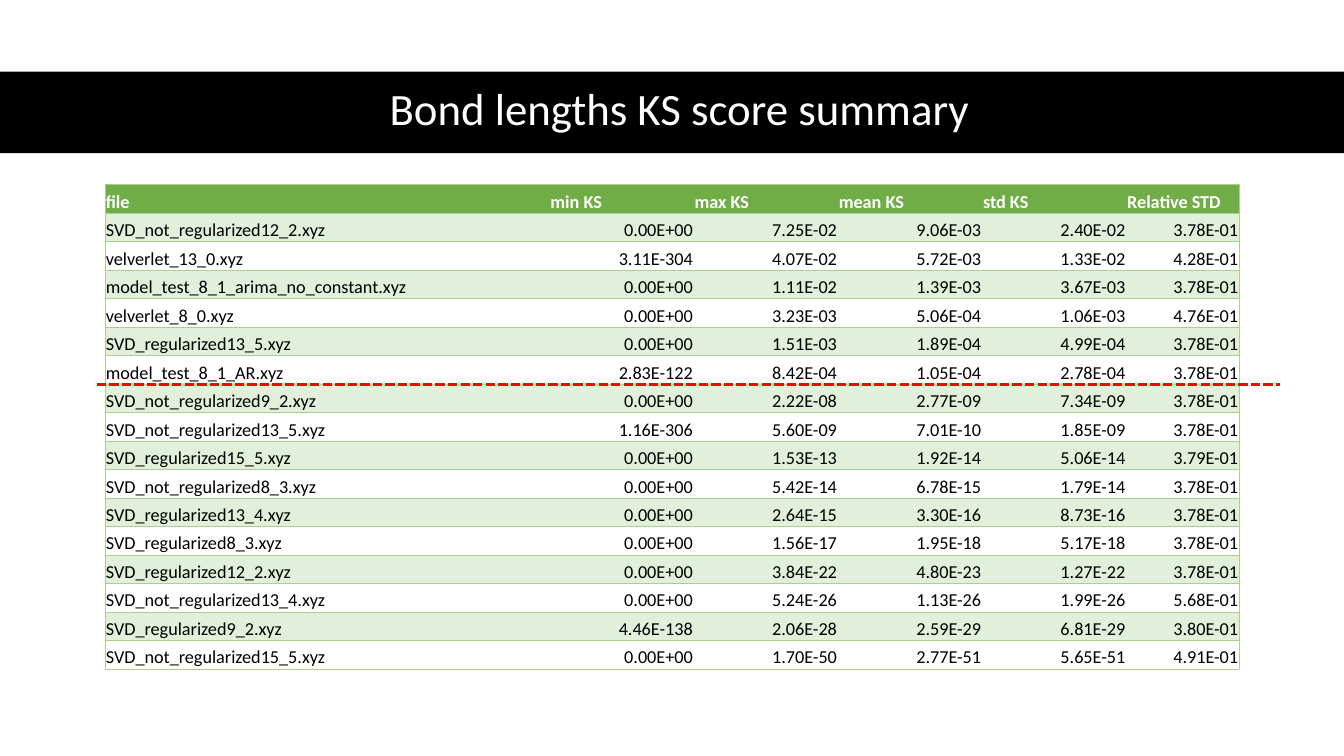
import lxml.etree
import pptx
import pptx.dml.color
import pptx.enum.dml
import pptx.enum.shapes
import pptx.enum.text
import pptx.oxml.ns
import pptx.util

COLORS = {
    "banner": "000000",
    "title": "FFFFFF",
    "header": "70AD47",
    "band": "E2EFDA",
    "border": "A9D08E",
    "text": "000000",
    "cutoff": "FF0000",
}
FONT = "Calibri"
NO_GRID_STYLE = "{2D5ABB26-0587-4C30-8999-92F81FD0307C}"
SLIDE_WIDTH, SLIDE_HEIGHT = 13.33, 7.5
TABLE_LEFT, TABLE_TOP, TABLE_HEIGHT = 1.04, 1.83, 4.81
COLUMN_WIDTHS = [4.41, 1.43, 1.43, 1.43, 1.43, 1.12]
ROWS_ABOVE_CUTOFF = 7

SCORES = [
    ["file", "min KS", "max KS", "mean KS", "std KS", "Relative STD"],
    ["SVD_not_regularized12_2.xyz", "0.00E+00", "7.25E-02", "9.06E-03", "2.40E-02", "3.78E-01"],
    ["velverlet_13_0.xyz", "3.11E-304", "4.07E-02", "5.72E-03", "1.33E-02", "4.28E-01"],
    ["model_test_8_1_arima_no_constant.xyz", "0.00E+00", "1.11E-02", "1.39E-03", "3.67E-03", "3.78E-01"],
    ["velverlet_8_0.xyz", "0.00E+00", "3.23E-03", "5.06E-04", "1.06E-03", "4.76E-01"],
    ["SVD_regularized13_5.xyz", "0.00E+00", "1.51E-03", "1.89E-04", "4.99E-04", "3.78E-01"],
    ["model_test_8_1_AR.xyz", "2.83E-122", "8.42E-04", "1.05E-04", "2.78E-04", "3.78E-01"],
    ["SVD_not_regularized9_2.xyz", "0.00E+00", "2.22E-08", "2.77E-09", "7.34E-09", "3.78E-01"],
    ["SVD_not_regularized13_5.xyz", "1.16E-306", "5.60E-09", "7.01E-10", "1.85E-09", "3.78E-01"],
    ["SVD_regularized15_5.xyz", "0.00E+00", "1.53E-13", "1.92E-14", "5.06E-14", "3.79E-01"],
    ["SVD_not_regularized8_3.xyz", "0.00E+00", "5.42E-14", "6.78E-15", "1.79E-14", "3.78E-01"],
    ["SVD_regularized13_4.xyz", "0.00E+00", "2.64E-15", "3.30E-16", "8.73E-16", "3.78E-01"],
    ["SVD_regularized8_3.xyz", "0.00E+00", "1.56E-17", "1.95E-18", "5.17E-18", "3.78E-01"],
    ["SVD_regularized12_2.xyz", "0.00E+00", "3.84E-22", "4.80E-23", "1.27E-22", "3.78E-01"],
    ["SVD_not_regularized13_4.xyz", "0.00E+00", "5.24E-26", "1.13E-26", "1.99E-26", "5.68E-01"],
    ["SVD_regularized9_2.xyz", "4.46E-138", "2.06E-28", "2.59E-29", "6.81E-29", "3.80E-01"],
    ["SVD_not_regularized15_5.xyz", "0.00E+00", "1.70E-50", "2.77E-51", "5.65E-51", "4.91E-01"],
]
ROW_HEIGHT = TABLE_HEIGHT / len(SCORES)


def inches(*lengths):
    return [pptx.util.Inches(length) for length in lengths]


def rgb(name):
    return pptx.dml.color.RGBColor.from_string(COLORS[name])


def add_span(para, text, size, color, bold=False):
    span = para.add_run()
    span.text = text
    span.font.name = FONT
    span.font.size = pptx.util.Pt(size)
    span.font.bold = bold
    span.font.color.rgb = rgb(color)


def add_banner(page):
    banner = page.shapes.add_shape(
        pptx.enum.shapes.MSO_SHAPE.RECTANGLE, *inches(0, 0.71, SLIDE_WIDTH, 0.81))
    banner.shadow.inherit = False
    banner.fill.solid()
    banner.fill.fore_color.rgb = rgb("banner")
    banner.line.fill.background()


def add_title(page, text):
    box = page.shapes.add_textbox(*inches(0.61, 0.7, 12.26, 0.81))
    frame = box.text_frame
    frame.word_wrap = True
    frame.vertical_anchor = pptx.enum.text.MSO_ANCHOR.MIDDLE
    para = frame.paragraphs[0]
    para.alignment = pptx.enum.text.PP_ALIGN.CENTER
    para.line_spacing = 0.9
    add_span(para, text, 32, "title")


def add_border(cell, side):
    properties = cell._tc.get_or_add_tcPr()
    qn = pptx.oxml.ns.qn
    line = lxml.etree.SubElement(properties, qn("a:ln" + side), w=str(pptx.util.Pt(0.5)))
    fill = lxml.etree.SubElement(line, qn("a:solidFill"))
    lxml.etree.SubElement(fill, qn("a:srgbClr"), val=COLORS["border"])


def fill_cell(cell, text, row, column):
    is_header = row == 0
    cell.margin_left, cell.margin_right, cell.margin_top, cell.margin_bottom = inches(0.01, 0.01, 0.01, 0)
    cell.vertical_anchor = pptx.enum.text.MSO_ANCHOR.BOTTOM
    outer_side = {0: "L", len(COLUMN_WIDTHS) - 1: "R"}.get(column, "")
    for side in outer_side + "TB":
        add_border(cell, side)
    if is_header or row % 2:
        cell.fill.solid()
        cell.fill.fore_color.rgb = rgb("header" if is_header else "band")
    else:
        cell.fill.background()
    para = cell.text_frame.paragraphs[0]
    is_number = row > 0 and column > 0
    align = pptx.enum.text.PP_ALIGN
    para.alignment = align.RIGHT if is_number else align.LEFT
    add_span(para, text, 13, "title" if is_header else "text", is_header)


def add_score_table(page):
    frame = page.shapes.add_table(
        len(SCORES), len(COLUMN_WIDTHS),
        *inches(TABLE_LEFT, TABLE_TOP, sum(COLUMN_WIDTHS), TABLE_HEIGHT))
    table = frame.table
    table._tbl.tblPr.find(pptx.oxml.ns.qn("a:tableStyleId")).text = NO_GRID_STYLE
    table.horz_banding = False
    for column, width in zip(table.columns, COLUMN_WIDTHS):
        column.width = pptx.util.Inches(width)
    for row, values in enumerate(SCORES):
        table.rows[row].height = pptx.util.Inches(ROW_HEIGHT)
        for column, text in enumerate(values):
            fill_cell(table.cell(row, column), text, row, column)


def add_cutoff_line(page):
    height = TABLE_TOP + ROWS_ABOVE_CUTOFF * ROW_HEIGHT
    cutoff = page.shapes.add_connector(
        pptx.enum.shapes.MSO_CONNECTOR.STRAIGHT, *inches(0.96, height, 12.7, height))
    cutoff.line.color.rgb = rgb("cutoff")
    cutoff.line.width = pptx.util.Pt(2.25)
    cutoff.line.dash_style = pptx.enum.dml.MSO_LINE.SQUARE_DOT
    lxml.etree.SubElement(cutoff._element.spPr, pptx.oxml.ns.qn("a:effectLst"))


def main():
    deck = pptx.Presentation()
    deck.slide_width, deck.slide_height = inches(SLIDE_WIDTH, SLIDE_HEIGHT)
    page = deck.slides.add_slide(deck.slide_layouts[6])
    add_banner(page)
    add_title(page, "Bond lengths KS score summary")
    add_score_table(page)
    add_cutoff_line(page)
    deck.save("out.pptx")


if __name__ == "__main__":
    main()
